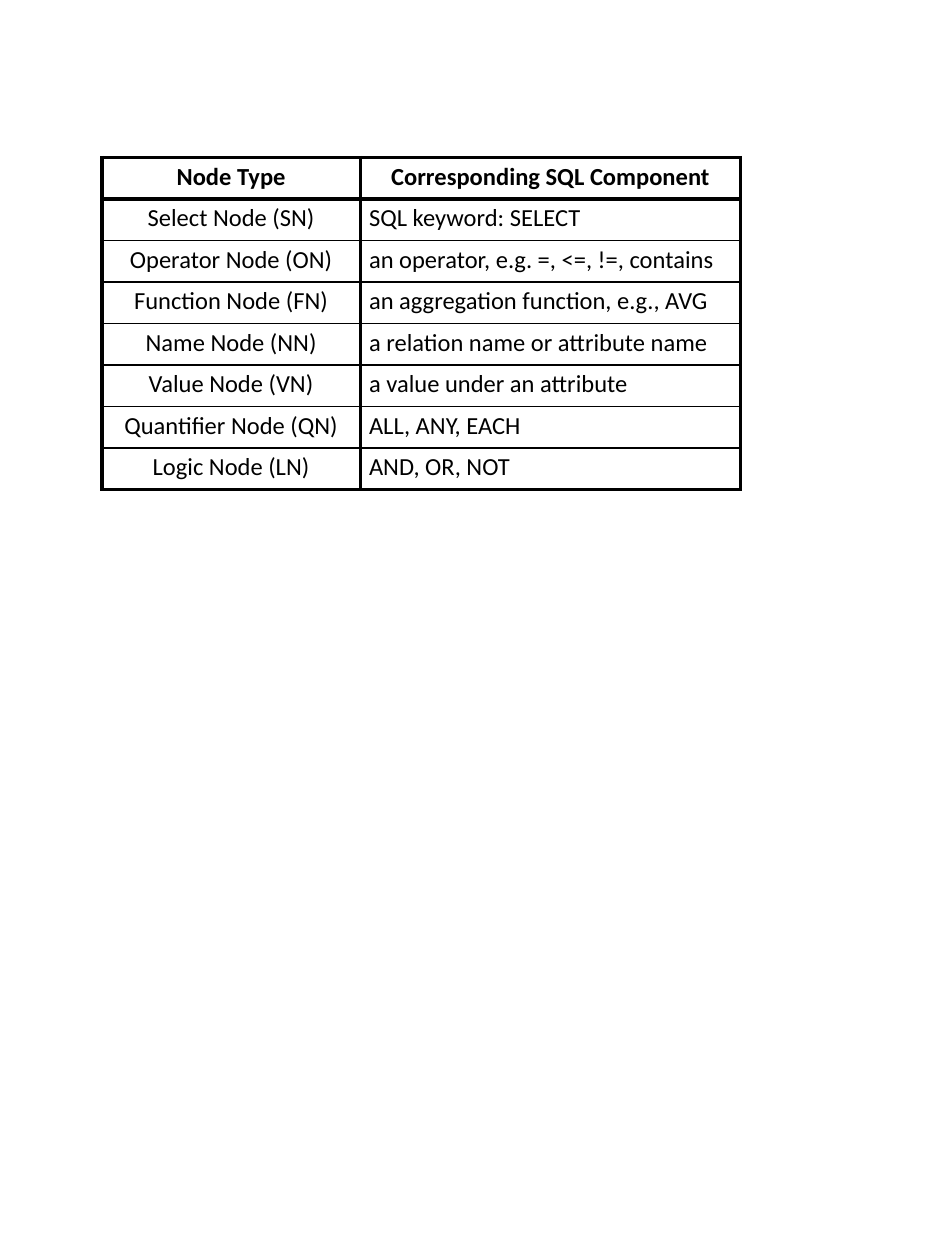
from lxml import etree
from pptx import Presentation, util as u
from pptx.dml.color import RGBColor
from pptx.enum import text
from pptx.oxml import ns

BLACK = RGBColor(0, 0, 0)
WHITE = RGBColor(255, 255, 255)
THICK, THIN = 2.25, 1

ROWS = [
    ("Node Type", "Corresponding SQL Component"),
    ("Select Node (SN)", "SQL keyword: SELECT"),
    ("Operator Node (ON)", "an operator, e.g. =, <=, !=, contains"),
    ("Function Node (FN)", "an aggregation function, e.g., AVG"),
    ("Name Node (NN)", "a relation name or attribute name"),
    ("Value Node (VN)", "a value under an attribute"),
    ("Quantiﬁer Node (QN)", "ALL, ANY, EACH"),
    ("Logic Node (LN)", "AND, OR, NOT"),
]
COLS = [u.Inches(2.05), u.Inches(3.02)]
LAST = len(ROWS) - 1


def edge(cell, side, width):
    props = cell._tc.get_or_add_tcPr()
    line = etree.SubElement(props, ns.qn("a:ln" + side), w=str(u.Pt(width)))
    fill = etree.SubElement(line, ns.qn("a:solidFill"))
    etree.SubElement(fill, ns.qn("a:srgbClr"), val=str(BLACK))


deck = Presentation()
deck.slide_width = u.Inches(7.5)
deck.slide_height = u.Inches(10)
slide = deck.slides.add_slide(deck.slide_layouts[6])

frame = slide.shapes.add_table(
    len(ROWS), len(COLS), u.Inches(0.81), u.Inches(1.25), sum(COLS), u.Inches(2.56)
)
table = frame.table
table.first_row = False
table.horz_banding = False
for col, width in zip(table.columns, COLS):
    col.width = width

for r, row in enumerate(ROWS):
    table.rows[r].height = u.Inches(0.29)
    top = THICK if r < 2 else THIN
    base = THICK if r in (0, LAST) else THIN
    for c, words in enumerate(row):
        cell = table.cell(r, c)
        for side, width in (("L", THICK), ("R", THICK), ("T", top), ("B", base)):
            edge(cell, side, width)
        cell.fill.solid()
        cell.fill.fore_color.rgb = WHITE
        cell.vertical_anchor = text.MSO_ANCHOR.MIDDLE
        cell.margin_left = cell.margin_right = u.Inches(0.07)
        cell.margin_top = cell.margin_bottom = u.Inches(0.07)
        para = cell.text_frame.paragraphs[0]
        para.line_spacing = 0.8
        mid = r == 0 or c == 0
        para.alignment = text.PP_ALIGN.CENTER if mid else text.PP_ALIGN.LEFT
        run = para.add_run()
        run.text = words
        run.font.name = "Calibri"
        run.font.size = u.Pt(14)
        run.font.bold = r == 0
        run.font.color.rgb = BLACK

frame.height = u.Inches(2.56)
deck.save("out.pptx")
